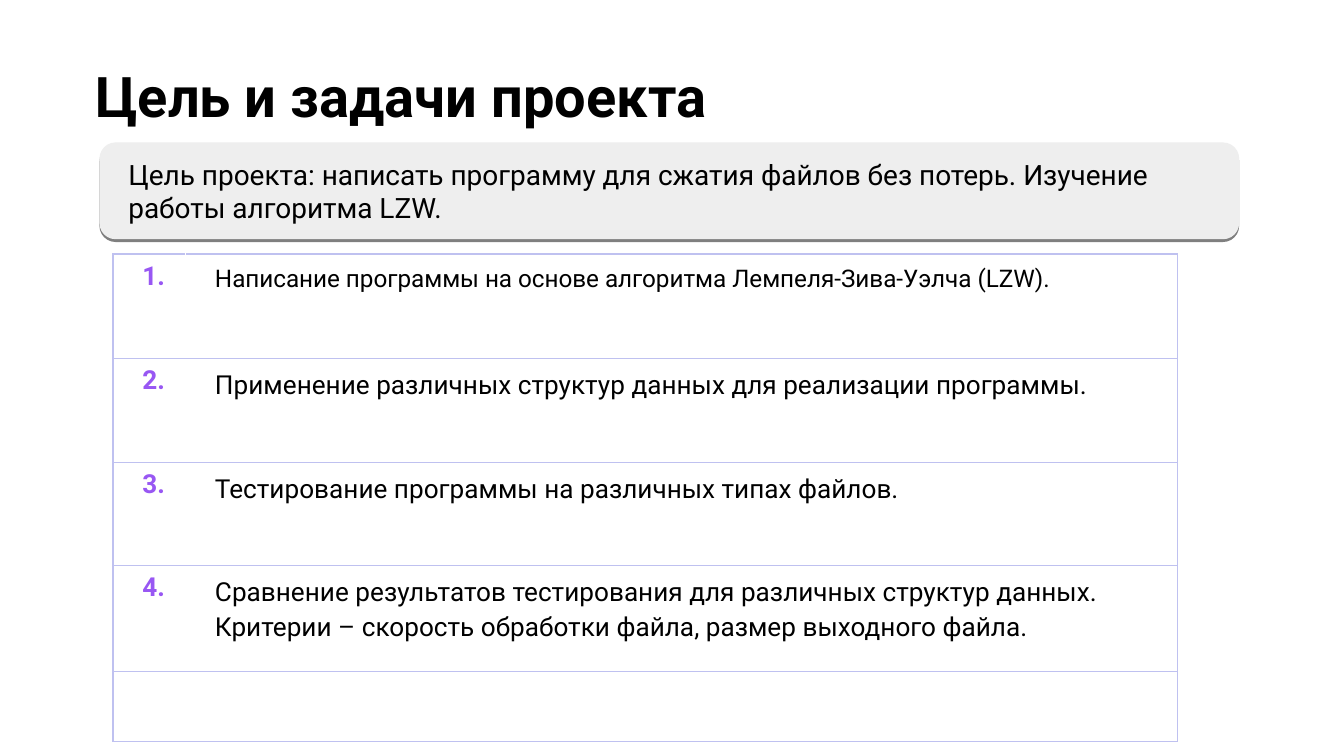
from lxml import etree
from pptx import Presentation
from pptx import util as u
from pptx.dml.color import RGBColor
from pptx.enum import shapes, text
from pptx.oxml import ns

FONT = "Roboto"
COLORS = {"ink": "000000", "accent": "9857F3", "panel": "EEEEEE",
          "rule": "BFC1F0", "blank": "FFFFFF"}
WIDTH = 10
HEIGHT = WIDTH * 9 / 16
TASKS = [
    ("Написание программы на основе алгоритма Лемпеля-Зива-Уэлча (LZW).", 13),
    ("Применение различных структур данных для реализации программы.", 14),
    ("Тестирование программы на различных типах файлов.", 14),
    ("Сравнение результатов тестирования для различных структур данных. "
     "Критерии – скорость обработки файла, размер выходного файла.", 14),
]


def rgb(name):
    """Return the named palette colour."""
    return RGBColor.from_string(COLORS[name])


def place(sp, box):
    """Move a shape to a box given in inches."""
    sp.left, sp.top, sp.width, sp.height = map(u.Inches, box)


def set_margins(holder, left, top, right, bottom):
    """Set the inner margins of a text frame or table cell in inches."""
    holder.margin_left, holder.margin_top = u.Inches(left), u.Inches(top)
    holder.margin_right, holder.margin_bottom = u.Inches(right), u.Inches(bottom)


def write(tf, words, size, color="ink", bold=False, spacing=1.0):
    """Fill a text frame with one left-aligned paragraph."""
    p = tf.paragraphs[0]
    p.text = words
    p.alignment = text.PP_ALIGN.LEFT
    p.line_spacing = spacing
    p.font.name, p.font.size, p.font.bold = FONT, u.Pt(size), bold
    p.font.color.rgb = rgb(color)


def add_border(cell, side, color):
    """Draw one thin solid border on a cell."""
    ln = etree.SubElement(cell._tc.get_or_add_tcPr(), ns.qn(f"a:ln{side}"),
                          w=str(u.Pt(0.75)))
    fill = etree.SubElement(ln, ns.qn("a:solidFill"))
    etree.SubElement(fill, ns.qn("a:srgbClr"), val=COLORS[color])


def add_drop_shadow(sp):
    """Give a shape a hard half-transparent shadow below it."""
    sp.shadow.inherit = False
    effects = sp._element.spPr.find(ns.qn("a:effectLst"))
    shadow = etree.SubElement(effects, ns.qn("a:outerShdw"), blurRad="0",
                              dist=str(u.Pt(1.5)), dir="5400000",
                              algn="bl", rotWithShape="0")
    clr = etree.SubElement(shadow, ns.qn("a:srgbClr"), val=COLORS["ink"])
    etree.SubElement(clr, ns.qn("a:alpha"), val="50000")


def build_title(s, box):
    """Format the title placeholder inside the box."""
    sp = s.shapes.title
    place(sp, box)
    tf = sp.text_frame
    tf.word_wrap, tf.auto_size = True, text.MSO_AUTO_SIZE.NONE
    tf.vertical_anchor = text.MSO_ANCHOR.TOP
    set_margins(tf, 0.1, 0.1, 0.1, 0.1)
    write(tf, "Цель и задачи проекта", 30, bold=True)


def build_tasks(s, box):
    """Place the numbered task table inside the box."""
    x, y, w, h = box
    rows = [0.78, 0.77, 0.77, 0.79, 0.52]
    cols = [0.54, 7.38]
    frame = s.shapes.add_table(len(rows), len(cols), *map(u.Inches, box))
    table = frame.table
    table.first_row = table.horz_banding = False
    for row, share in zip(table.rows, rows):
        row.height = u.Inches(h * share / sum(rows))
    for col, share in zip(table.columns, cols):
        col.width = u.Inches(w * share / sum(cols))
    for row in table.rows:
        for cell, left, right in zip(row.cells, ("rule", "blank"), ("blank", "rule")):
            set_margins(cell, 0.22, 0.05, 0.1, 0.05)
            for side, color in zip("LRTB", (left, right, "rule", "rule")):
                add_border(cell, side, color)
            cell.fill.background()
    for i, (task, size) in enumerate(TASKS):
        write(table.cell(i, 0).text_frame, f"{i + 1}.", 14, "accent", True)
        write(table.cell(i, 1).text_frame, task, size, spacing=1.15)


def build_goal(s, box):
    """Place the rounded goal panel inside the box."""
    sp = s.shapes.add_shape(shapes.MSO_SHAPE.ROUNDED_RECTANGLE, *map(u.Inches, box))
    sp.fill.solid()
    sp.fill.fore_color.rgb = rgb("panel")
    sp.line.fill.background()
    add_drop_shadow(sp)
    tf = sp.text_frame
    tf.word_wrap, tf.vertical_anchor = True, text.MSO_ANCHOR.MIDDLE
    set_margins(tf, 0.18, 0.1, 0.18, 0.1)
    write(tf, "Цель проекта: написать программу для сжатия файлов без потерь. "
              "Изучение работы алгоритма LZW.", 15)


def main():
    """Build and save the slide."""
    prs = Presentation()
    prs.slide_width, prs.slide_height = u.Inches(WIDTH), u.Inches(HEIGHT)
    s = prs.slides.add_slide(prs.slide_layouts[5])
    build_title(s, (0.61, 0.36, 9.32, 1.43))
    build_tasks(s, (0.84, 1.89, 7.92, 3.63))
    build_goal(s, (0.74, 1.06, 8.48, 0.72))
    prs.save("out.pptx")


if __name__ == "__main__":
    main()
